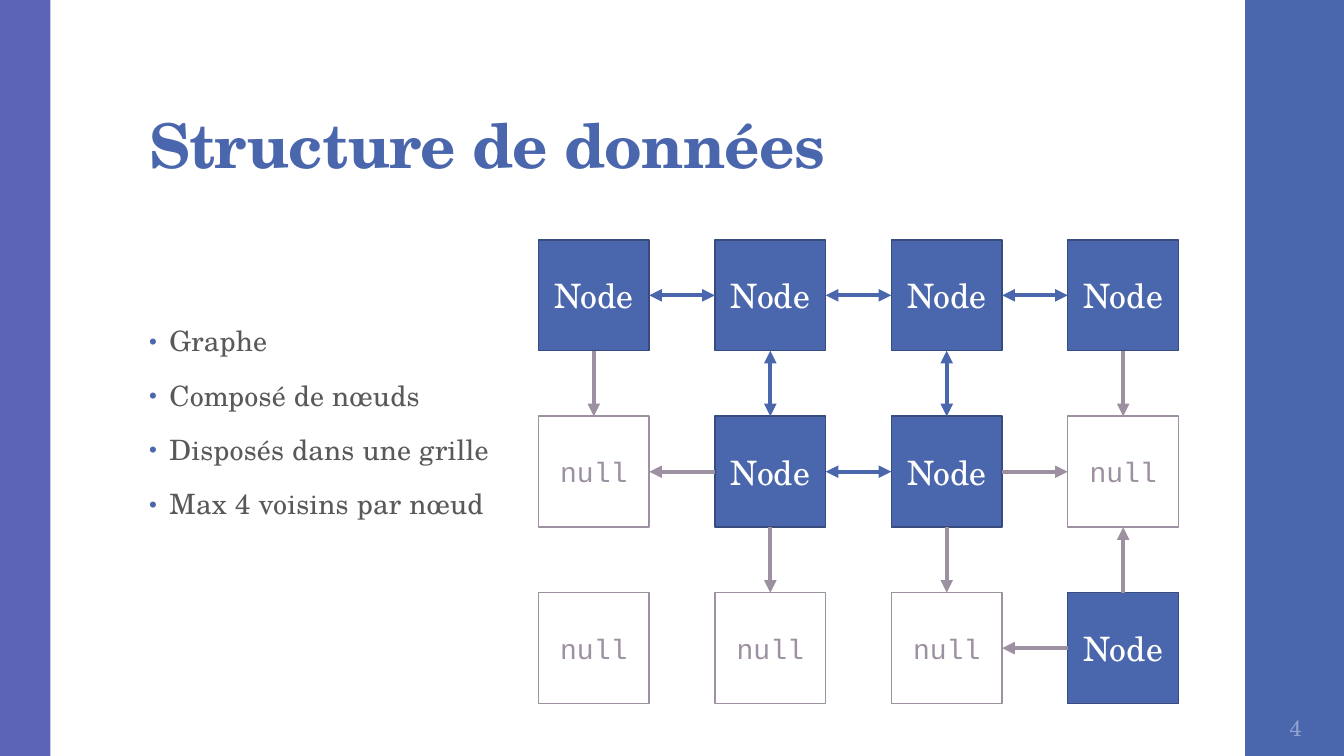
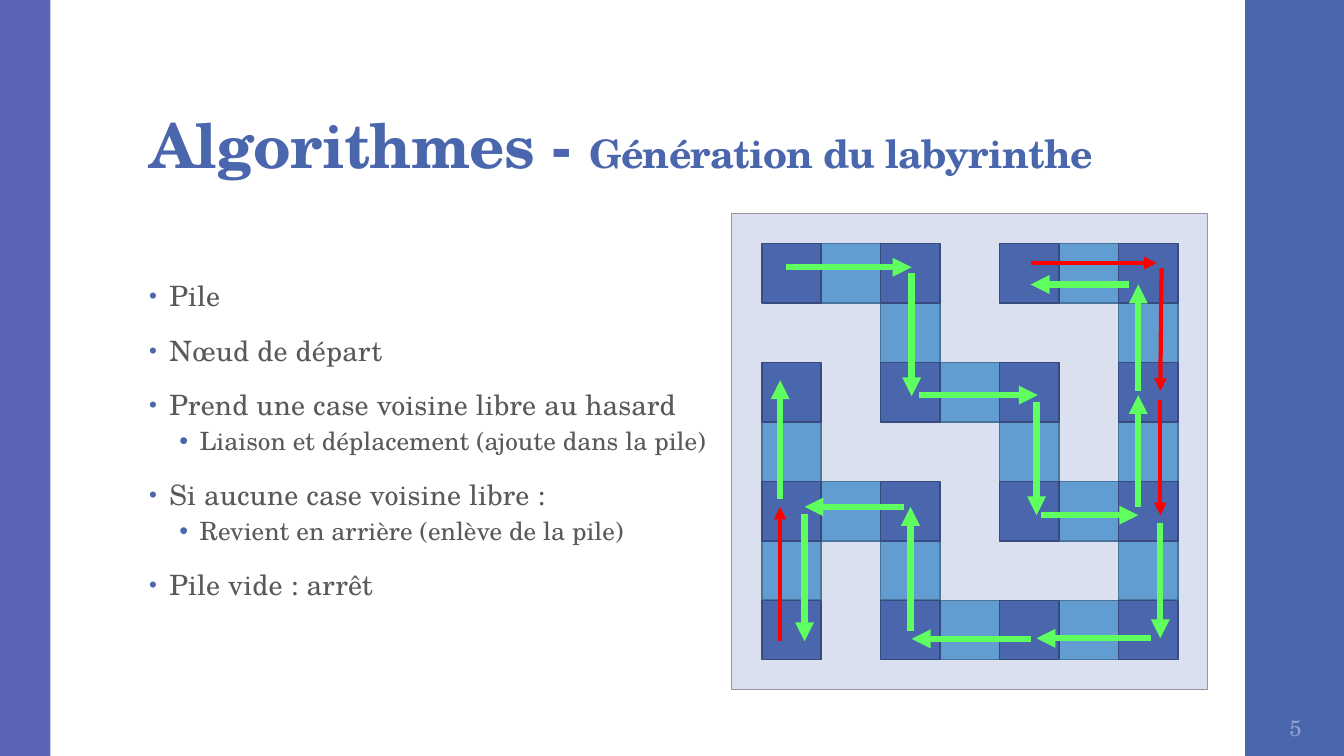
from pptx import Presentation
from pptx.dml.color import RGBColor
from pptx.enum.shapes import MSO_CONNECTOR, MSO_SHAPE
from pptx.enum.text import MSO_ANCHOR, MSO_AUTO_SIZE, PP_ALIGN
from pptx.oxml.ns import qn
from pptx.util import Inches, Pt
from lxml.etree import SubElement

BLUE = RGBColor(0x4A, 0x66, 0xAC)
NAVY = RGBColor(0x37, 0x4B, 0x7F)
VIOLET = RGBColor(0x5C, 0x64, 0xB7)
MAUVE = RGBColor(0x9D, 0x90, 0xA0)
PALE = RGBColor(0xDA, 0xE0, 0xEF)
SKY = RGBColor(0x62, 0x9D, 0xD1)
STEEL = RGBColor(0x49, 0x74, 0x9B)
GRAY = RGBColor(0x59, 0x59, 0x59)
SOFT = RGBColor(0x90, 0xA2, 0xCF)
WHITE = RGBColor(0xFF, 0xFF, 0xFF)
GREEN = RGBColor(0x60, 0xFF, 0x60)
RED = RGBColor(0xFF, 0x00, 0x00)
SERIF, MONO = "TeX Gyre Schola", "Courier New"
WIDE, HIGH = 13.33, 7.5
EDGE = 12.35

GRAPH = ["NNNN", "0NN0", "000N"]
MAZE = ["NoN.NoN", "..o...o", "N.NoN.N", "o...o.o", "NoN.NoN", "o.o...o", "N.NoNoN"]
MOVES = [
    (0.9, 0.9, 3.02, 0.9), (3.02, 1, 3.02, 3.07), (3.14, 3.05, 5.14, 3.05),
    (5.12, 3.17, 5.12, 5.07), (5.2, 5.07, 6.83, 5.07), (6.83, 4.93, 6.83, 3.05),
    (6.83, 2.98, 6.83, 1.19), (6.68, 1.19, 5.02, 1.19), (7.2, 5.2, 7.2, 7.14),
    (7.05, 7.14, 5.12, 7.14), (5.02, 7.15, 3.02, 7.15), (3, 7.02, 3, 4.93),
    (2.9, 4.93, 1.22, 4.93), (1.22, 5.05, 1.22, 7.19), (0.81, 4.8, 0.81, 2.8),
]
RETURNS = [
    (5.02, 0.83, 7.14, 0.83), (7.22, 0.92, 7.2, 2.98),
    (7.2, 3.14, 7.2, 5.07), (0.81, 7.19, 0.81, 4.93),
]


def font(par, size, color, name=SERIF, bold=False, gap=0):
    face = par.font
    face.size, face.name, face.bold = Pt(size), name, bold
    face.color.rgb = color
    par._p.pPr.find(qn("a:defRPr")).set("spc", str(gap))


def rect(slide, box, fill, line=None, width=1.1):
    shape = slide.shapes.add_shape(MSO_SHAPE.RECTANGLE, *map(Inches, box))
    shape.shadow.inherit = False
    shape.fill.solid()
    shape.fill.fore_color.rgb = fill
    if line is None:
        shape.line.fill.background()
    else:
        shape.line.color.rgb = line
        shape.line.width = Pt(width)
    return shape


def arrow(slide, ends, color, width, both=False):
    link = slide.shapes.add_connector(MSO_CONNECTOR.STRAIGHT, *map(Inches, ends))
    link.line.color.rgb = color
    link.line.width = Pt(width)
    stroke = link.line._get_or_add_ln()
    for tag in ("a:headEnd", "a:tailEnd") if both else ("a:tailEnd",):
        SubElement(stroke, qn(tag)).set("type", "triangle")
    SubElement(link.element.spPr, qn("a:effectLst"))
    return link


def place(shape, box):
    shape.left, shape.top, shape.width, shape.height = map(Inches, box)


def bands(slide, master):
    for left, width, color in ((EDGE, WIDE - EDGE, BLUE), (0, 0.5, VIOLET)):
        band = rect(slide, (left, 0, width, HIGH), color)
        master.element.cSld.spTree.insert(2, band.element)


def title(slide, parts):
    frame = slide.shapes.title.text_frame
    frame.auto_size = MSO_AUTO_SIZE.NONE
    frame.vertical_anchor = MSO_ANCHOR.BOTTOM
    frame.margin_top = Inches(0.03)
    par = frame.paragraphs[0]
    par.alignment = PP_ALIGN.LEFT
    par.line_spacing = 0.9
    font(par, 44, BLUE, bold=True, gap=-50)
    for text, size in parts:
        run = par.add_run()
        run.text = text
        if size:
            run.font.size = Pt(size)


def bullet(par, level):
    par.level = level
    par.line_spacing = 0.9 if level else 0.95
    par.space_before = Pt(3 if level else 14)
    par.space_after = Pt(3 if level else 2)
    props = par._p.get_or_add_pPr()
    props.set("marL", str(Inches(0.5 if level else 0.2)))
    props.set("indent", str(Inches(-0.2)))
    tint = SubElement(props, qn("a:buClr"))
    SubElement(tint, qn("a:srgbClr")).set("val", str(BLUE))
    size = "100000" if level else "80000"
    SubElement(props, qn("a:buSzPct")).set("val", size)
    SubElement(props, qn("a:buChar")).set("char", "•")
    font(par, 18 if level else 20, GRAY, gap=0 if level else 10)


def body(slide, items, foot=0.05):
    frame = slide.placeholders[1].text_frame
    frame.auto_size = MSO_AUTO_SIZE.NONE
    frame.vertical_anchor = MSO_ANCHOR.MIDDLE
    frame.margin_bottom = Inches(foot)
    for index, (level, text) in enumerate(items):
        par = frame.add_paragraph() if index else frame.paragraphs[0]
        par.text = text
        bullet(par, level)
    frame.paragraphs[0].space_before = Pt(0)


def number(slide, value):
    box = slide.shapes.add_textbox(*map(Inches, (EDGE, 6.75, 1, 0.65)))
    frame = box.text_frame
    frame.word_wrap = True
    frame.vertical_anchor = MSO_ANCHOR.BOTTOM
    frame.margin_left = frame.margin_right = Inches(0.05)
    par = frame.paragraphs[0]
    par.text = str(value)
    par.alignment = PP_ALIGN.CENTER
    font(par, 16, SOFT)


def node(slide, box, full):
    shape = rect(slide, box, BLUE if full else WHITE, NAVY if full else MAUVE)
    frame = shape.text_frame
    frame.vertical_anchor = MSO_ANCHOR.MIDDLE
    par = frame.paragraphs[0]
    par.text = "Node" if full else "null"
    par.alignment = PP_ALIGN.CENTER
    if full:
        font(par, 24, WHITE)
    else:
        font(par, 20, MAUVE, MONO)
    return shape


def graph(slide, left, top, side, pitch):
    nodes = {}
    for row, line in enumerate(GRAPH):
        for col, mark in enumerate(line):
            box = (left + col * pitch, top + row * pitch, side, side)
            nodes[row, col] = node(slide, box, mark == "N"), mark == "N"
    for (row, col), first in nodes.items():
        for spot, out, into in (((row, col + 1), 3, 1), ((row + 1, col), 2, 0)):
            start, end = first, nodes.get(spot)
            if end is None or not (start[1] or end[1]):
                continue
            if not start[1]:
                start, end, out, into = end, start, into, out
            both = end[1]
            link = arrow(slide, (0, 0, 0, 0), BLUE if both else MAUVE, 3, both)
            link.begin_connect(start[0], out)
            link.end_connect(end[0], into)


def maze(slide, left, top, side):
    unit = side / (len(MAZE) + 1)
    rect(slide, (left, top, side, side), PALE, MAUVE, 0.75)
    for kind, fill, line in (("o", SKY, STEEL), ("N", BLUE, NAVY)):
        for row, marks in enumerate(MAZE):
            for col, mark in enumerate(marks):
                if mark == kind:
                    spot = left + (col + 0.5) * unit, top + (row + 0.5) * unit
                    rect(slide, (*spot, unit, unit), fill, line)
    for moves, color, width in ((MOVES, GREEN, 4.5), (RETURNS, RED, 3)):
        for x1, y1, x2, y2 in moves:
            ends = (left + x1 * unit, top + y1 * unit, left + x2 * unit, top + y2 * unit)
            arrow(slide, ends, color, width)


def main():
    deck = Presentation()
    deck.slide_width, deck.slide_height = Inches(WIDE), Inches(HIGH)
    layout = deck.slide_layouts[1]
    place(layout.placeholders[0], (1.38, 0.32, 10.6, 1.53))
    place(layout.placeholders[1], (1.38, 2, 9.4, 4.76))

    data = deck.slides.add_slide(layout)
    bands(data, deck.slide_master)
    title(data, [("Structure de données", None)])
    body(data, [
        (0, "Graphe"),
        (0, "Composé de nœuds"),
        (0, "Disposés dans une grille"),
        (0, "Max 4 voisins par nœud"),
    ], foot=0.4)
    graph(data, 5.34, 2.38, 1.1, 1.75)
    number(data, 4)

    algo = deck.slides.add_slide(layout)
    title(algo, [("Algorithmes - ", None), ("Génération du labyrinthe", 28)])
    body(algo, [
        (0, "Pile"),
        (0, "Nœud de départ"),
        (0, "Prend une case voisine libre au hasard"),
        (1, "Liaison et déplacement (ajoute dans la pile)"),
        (0, "Si aucune case voisine libre :"),
        (1, "Revient en arrière (enlève de la pile)"),
        (0, "Pile vide : arrêt"),
    ])
    maze(algo, 7.26, 2.12, 4.72)
    number(algo, 5)
    deck.save("out.pptx")


if __name__ == "__main__":
    main()
